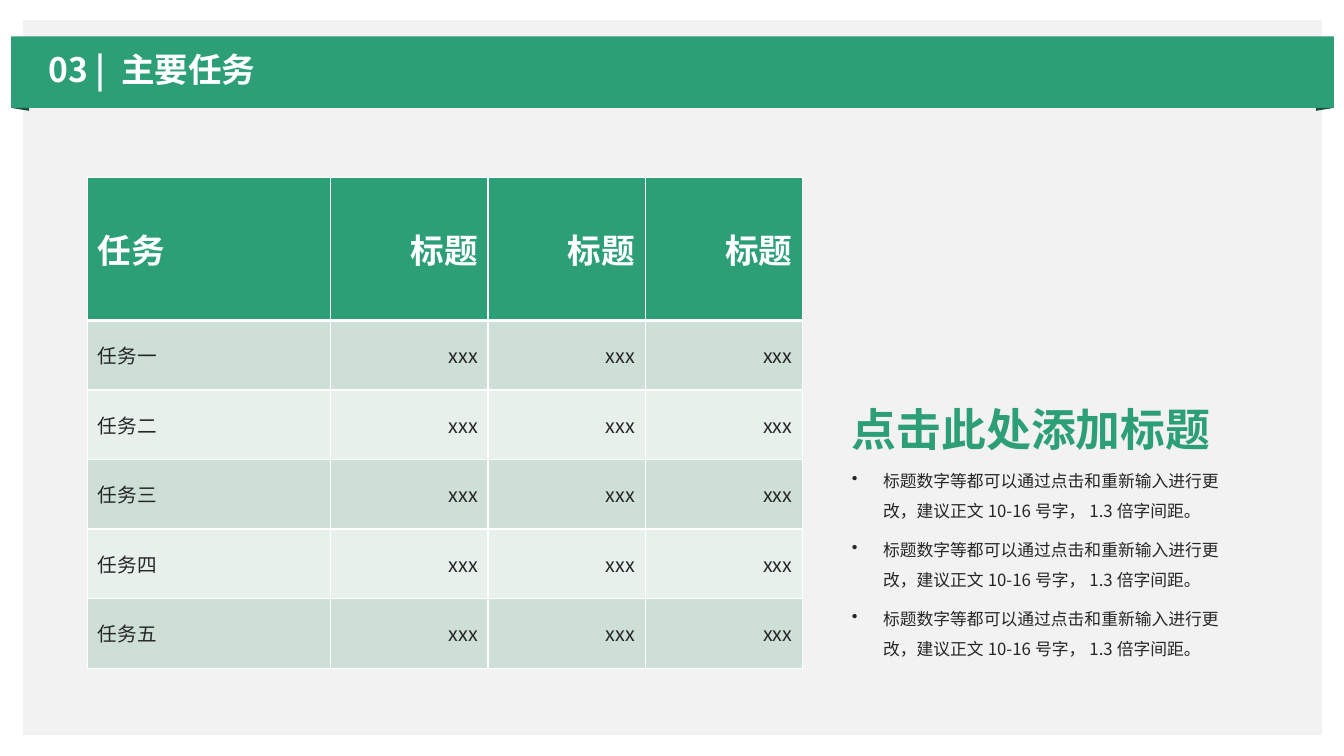
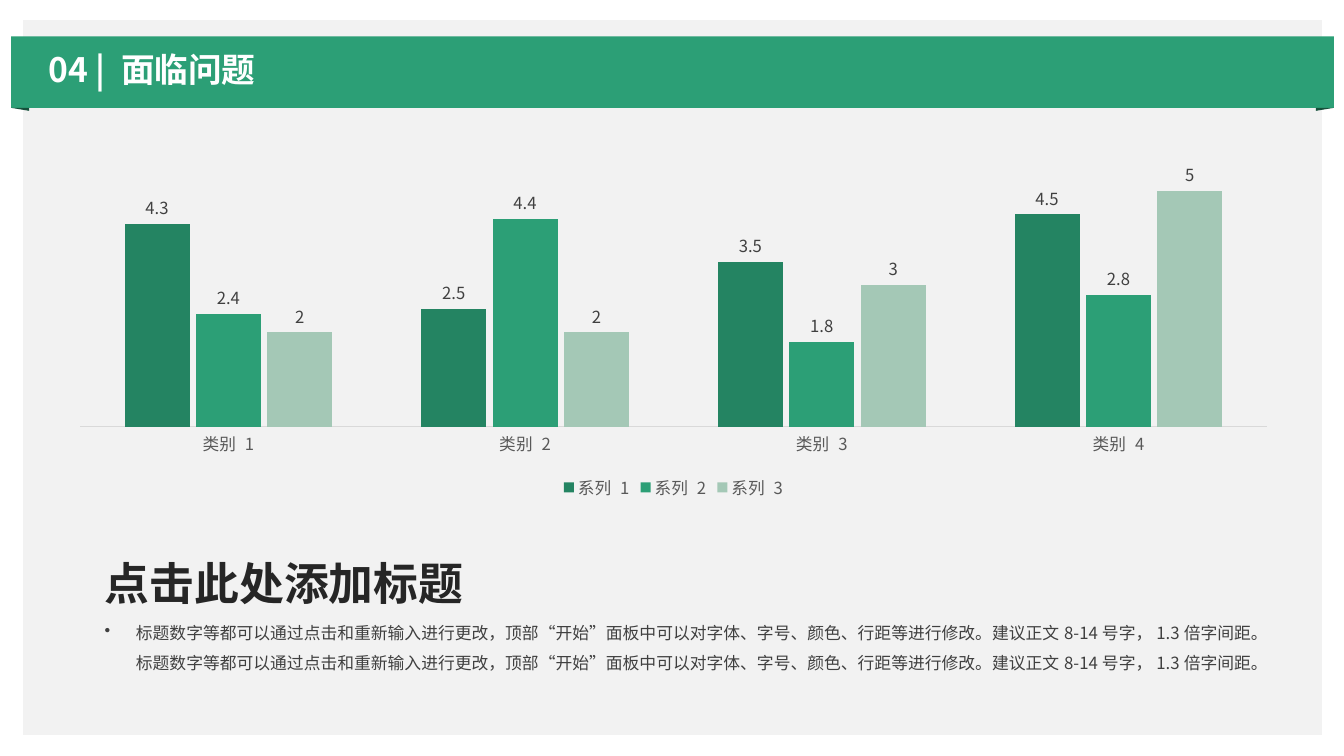
"""Build two report slides: a task table and a chart of problems."""
from dataclasses import dataclass

from lxml.etree import SubElement
from pptx import Presentation
from pptx.chart.data import CategoryChartData
from pptx.dml.color import RGBColor
from pptx.enum.chart import XL_CHART_TYPE, XL_LABEL_POSITION, XL_LEGEND_POSITION, XL_TICK_MARK
from pptx.enum.shapes import MSO_SHAPE
from pptx.enum.text import MSO_ANCHOR, MSO_AUTO_SIZE, PP_ALIGN
from pptx.oxml.ns import qn
from pptx.presentation import Presentation as Deck
from pptx.shapes.base import BaseShape
from pptx.slide import Slide
from pptx.table import _Cell as Cell
from pptx.text.text import Font, TextFrame
from pptx.util import Inches, Pt

FONT = "Noto Sans CJK SC"
WHITE = RGBColor(0xFF, 0xFF, 0xFF)
PANEL = RGBColor(0xF2, 0xF2, 0xF2)
GREEN = RGBColor(0x2C, 0x9F, 0x76)
FOLD = RGBColor(0x16, 0x50, 0x3B)
DARK_GREEN = RGBColor(0x24, 0x84, 0x62)
PALE_GREEN = RGBColor(0xA4, 0xC8, 0xB6)
BAND_DARK = RGBColor(0xCD, 0xDF, 0xD6)
BAND_LIGHT = RGBColor(0xE8, 0xF0, 0xEC)
INK = RGBColor(0x26, 0x26, 0x26)
LABEL_INK = RGBColor(0x40, 0x40, 0x40)
AXIS_INK = RGBColor(0x59, 0x59, 0x59)
AXIS_LINE = RGBColor(0xD9, 0xD9, 0xD9)

HEADING = "点击此处添加标题"
TABLE_ADVICE = "标题数字等都可以通过点击和重新输入进行更改，建议正文10-16号字，1.3倍字间距。"
CHART_ADVICE = (
    "标题数字等都可以通过点击和重新输入进行更改，顶部“开始”面板中可以对字体、字号、"
    "颜色、行距等进行修改。建议正文8-14号字，1.3倍字间距。"
)
TASKS = ["任务一", "任务二", "任务三", "任务四", "任务五"]
CATEGORIES = ["类别 1", "类别 2", "类别 3", "类别 4"]


@dataclass(frozen=True)
class Area:
    """Position and size in inches."""

    left: float
    top: float
    width: float
    height: float

    def lengths(self) -> tuple[Inches, Inches, Inches, Inches]:
        """Return the four values as lengths."""
        return Inches(self.left), Inches(self.top), Inches(self.width), Inches(self.height)


@dataclass(frozen=True)
class Series:
    """One set of columns in the chart."""

    name: str
    values: tuple[float, ...]
    color: RGBColor


SERIES = [
    Series("系列 1", (4.3, 2.5, 3.5, 4.5), DARK_GREEN),
    Series("系列 2", (2.4, 4.4, 1.8, 2.8), GREEN),
    Series("系列 3", (2, 2, 3, 5), PALE_GREEN),
]
RIBBON = Area(0.11, 0.36, 13.12, 0.71)


def style_font(font: Font, size: float, color: RGBColor, bold: bool = False) -> None:
    """Set the family, size, colour and weight of a font."""
    font.name, font.size, font.bold = FONT, Pt(size), bold
    font.color.rgb = color


def write_text(frame: TextFrame, *lines: str, size: float, color: RGBColor, bold: bool = False,
               align: PP_ALIGN = PP_ALIGN.LEFT, spacing: float = 1.0, gap: float = 0,
               bullet: bool = False) -> None:
    """Write one formatted paragraph for each line."""
    for index, line in enumerate(lines):
        para = frame.paragraphs[0] if index == 0 else frame.add_paragraph()
        para.alignment, para.line_spacing = align, spacing
        if index:
            para.space_before = Pt(gap)
        if bullet:
            properties = para._p.get_or_add_pPr()
            properties.set("marL", str(Inches(0.31)))
            properties.set("indent", str(-Inches(0.31)))
            SubElement(properties, qn("a:buChar"), char="•")
        span = para.add_run()
        span.text = line
        style_font(span.font, size, color, bold)


def add_text(page: Slide, area: Area, *lines: str, wrap: bool = True, grow: bool = True,
             **style) -> None:
    """Add a text box with formatted lines."""
    frame = page.shapes.add_textbox(*area.lengths()).text_frame
    frame.word_wrap = wrap
    frame.auto_size = MSO_AUTO_SIZE.SHAPE_TO_FIT_TEXT if grow else MSO_AUTO_SIZE.NONE
    frame.vertical_anchor = MSO_ANCHOR.TOP if grow else MSO_ANCHOR.MIDDLE
    write_text(frame, *lines, **style)


def paint(shape: BaseShape, color: RGBColor) -> None:
    """Give a shape a flat fill without outline or shadow."""
    shape.shadow.inherit = False
    shape.fill.solid()
    shape.fill.fore_color.rgb = color
    shape.line.fill.background()


def add_page(deck: Deck, title: str) -> Slide:
    """Add a page with the panel, the folded ribbon and its title."""
    page = deck.slides.add_slide(deck.slide_layouts[6])
    for area, color in ((Area(0.23, 0.2, 12.88, 7.09), PANEL), (RIBBON, GREEN)):
        paint(page.shapes.add_shape(MSO_SHAPE.RECTANGLE, *area.lengths()), color)
    bottom = RIBBON.top + RIBBON.height
    for edge, inward in ((RIBBON.left, 0.18), (RIBBON.left + RIBBON.width, -0.18)):
        inner = Inches(edge + inward)
        builder = page.shapes.build_freeform(Inches(edge), Inches(bottom))
        builder.add_line_segments([(inner, Inches(bottom)), (inner, Inches(bottom + 0.03))])
        paint(builder.convert_to_shape(), FOLD)
    add_text(page, Area(0.38, 0.46, 12.52, 0.51), title, grow=False,
             size=24, color=WHITE, bold=True, spacing=0.9)
    return page


def add_borders(cell: Cell, top: float, bottom: float) -> None:
    """Draw white lines on the four sides of a cell."""
    properties = cell._tc.get_or_add_tcPr()
    for side, width in (("L", 1), ("R", 1), ("T", top), ("B", bottom)):
        line = SubElement(properties, qn(f"a:ln{side}"), w=str(Pt(width)))
        fill = SubElement(line, qn("a:solidFill"))
        SubElement(fill, qn("a:srgbClr"), val=str(WHITE))


def add_task_table(page: Slide) -> None:
    """Add the banded table of tasks."""
    rows = [["任务"] + ["标题"] * 3] + [[task] + ["xxx"] * 3 for task in TASKS]
    area = Area(0.87, 1.76, 7.09, 4.84)
    table = page.shapes.add_table(len(rows), len(rows[0]), *area.lengths()).table
    for index, column in enumerate(table.columns):
        column.width = Inches(1.56 if index else 2.41)
    for row_index, values in enumerate(rows):
        header = row_index == 0
        table.rows[row_index].height = Inches(1.42 if header else 0.69)
        band = GREEN if header else BAND_DARK if row_index % 2 else BAND_LIGHT
        for column_index, value in enumerate(values):
            cell = table.cell(row_index, column_index)
            add_borders(cell, top=3 if row_index == 1 else 1, bottom=3 if header else 1)
            cell.fill.solid()
            cell.fill.fore_color.rgb = band
            cell.vertical_anchor = MSO_ANCHOR.MIDDLE
            write_text(cell.text_frame, value, size=24 if header else 14,
                       color=WHITE if header else INK, bold=header,
                       align=PP_ALIGN.RIGHT if column_index else PP_ALIGN.LEFT)


def add_problem_chart(page: Slide) -> None:
    """Add the clustered column chart."""
    data = CategoryChartData()
    data.categories = CATEGORIES
    for series in SERIES:
        data.add_series(series.name, series.values)
    area = Area(0.55, 1.35, 12.26, 3.65)
    chart = page.shapes.add_chart(XL_CHART_TYPE.COLUMN_CLUSTERED, *area.lengths(), data).chart
    style_font(chart.font, 11.9, AXIS_INK)
    chart.has_title = False
    chart.has_legend = True
    chart.legend.position = XL_LEGEND_POSITION.BOTTOM
    chart.legend.include_in_layout = False
    style_font(chart.legend.font, 11.9, AXIS_INK)
    values = chart.value_axis
    values.visible = values.has_major_gridlines = False
    values.minimum_scale, values.maximum_scale = 0, 6
    categories = chart.category_axis
    categories.major_tick_mark = XL_TICK_MARK.NONE
    categories.format.line.color.rgb = AXIS_LINE
    categories.format.line.width = Pt(0.75)
    style_font(categories.tick_labels.font, 11.9, AXIS_INK)
    plot = chart.plots[0]
    plot.vary_by_categories = False
    plot.gap_width, plot.overlap = 137, -10
    plot.has_data_labels = True
    plot.data_labels.show_value = True
    plot.data_labels.position = XL_LABEL_POSITION.OUTSIDE_END
    style_font(plot.data_labels.font, 11.9, LABEL_INK)
    for columns, series in zip(plot.series, SERIES):
        columns.format.fill.solid()
        columns.format.fill.fore_color.rgb = series.color
    set_east_asian_font(chart._chartSpace)


def set_east_asian_font(element) -> None:
    """Use the font for Chinese text wherever it is used for Latin text."""
    for latin in list(element.iter(qn("a:latin"))):
        east_asian = latin.makeelement(qn("a:ea"), {"typeface": FONT})
        latin.addnext(east_asian)


def build_task_page(deck: Deck) -> None:
    """Build the page of main tasks."""
    page = add_page(deck, "03 | 主要任务")
    add_task_table(page)
    add_text(page, Area(8.35, 3.78, 3.79, 0.8), HEADING, wrap=False,
             size=32, color=GREEN, bold=True, spacing=1.3)
    add_text(page, Area(8.35, 4.52, 3.99, 2.09), *[TABLE_ADVICE] * 3,
             size=12, color=INK, spacing=1.5, gap=6, bullet=True)
    set_east_asian_font(page._element)


def build_problem_page(deck: Deck) -> None:
    """Build the page of problems."""
    page = add_page(deck, "04 | 面临问题")
    add_problem_chart(page)
    add_text(page, Area(0.94, 5.3, 3.79, 0.73), HEADING, wrap=False,
             size=32, color=INK, bold=True, spacing=1.3)
    add_text(page, Area(0.94, 6.03, 11.86, 0.71), CHART_ADVICE * 2,
             size=12, color=LABEL_INK, spacing=1.5, bullet=True)
    set_east_asian_font(page._element)


def main() -> None:
    """Build and save the deck."""
    deck = Presentation()
    deck.slide_width, deck.slide_height = Inches(13.33), Inches(7.5)
    build_task_page(deck)
    build_problem_page(deck)
    deck.save("out.pptx")


if __name__ == "__main__":
    main()
